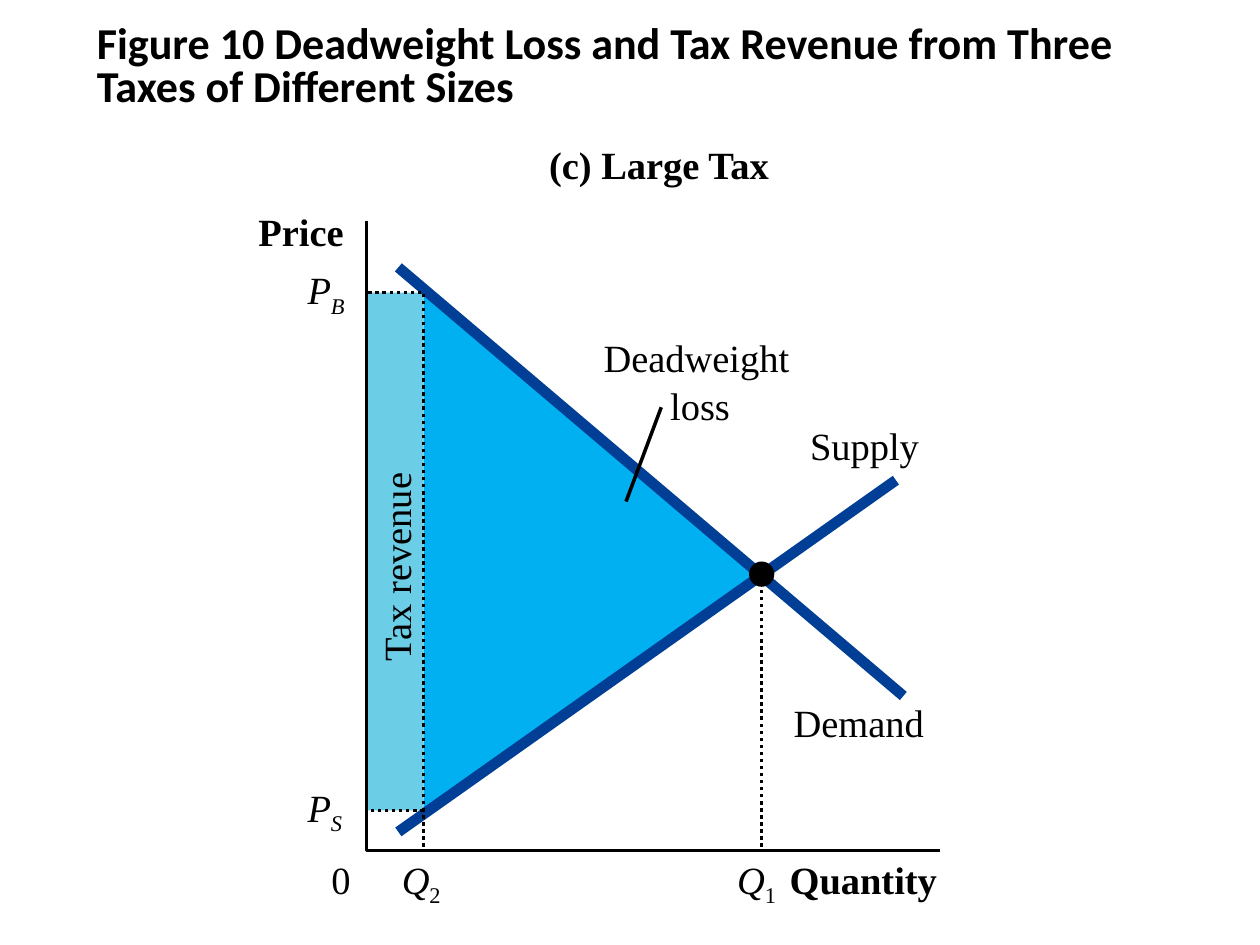
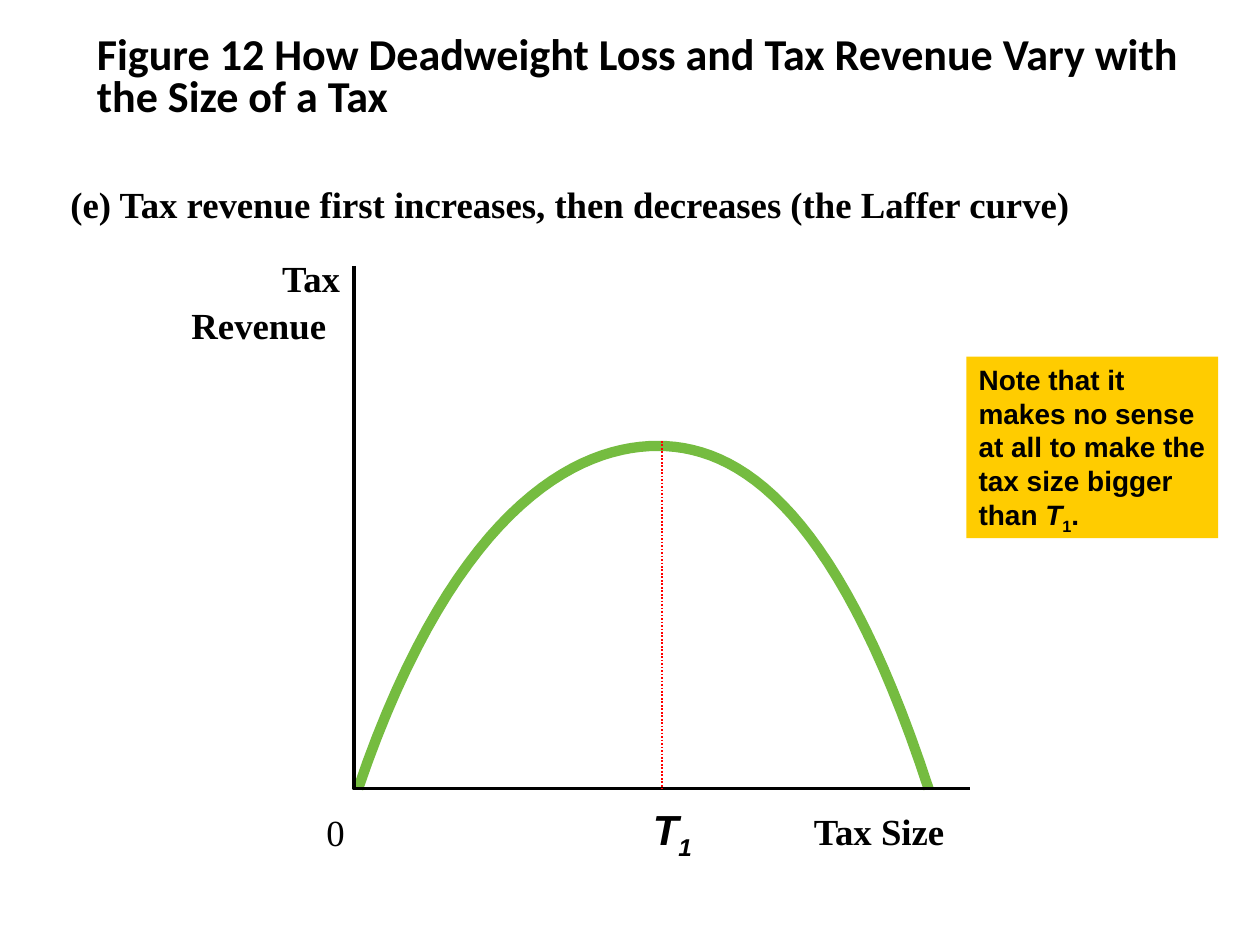
from dataclasses import dataclass
from typing import Any
from lxml.etree import SubElement
from pptx import Presentation
from pptx.dml.color import RGBColor
from pptx.enum.dml import MSO_LINE
from pptx.enum.shapes import MSO_CONNECTOR, MSO_SHAPE
from pptx.enum.text import MSO_ANCHOR, MSO_AUTO_SIZE, PP_ALIGN
from pptx.oxml.ns import qn
from pptx.util import Cm, Pt

HUES = {"ink": "000000", "loss": "00B0F0", "tax": "6CCEE6", "curve": "003F95",
        "arc": "75BC40", "mark": "FF0000", "note": "FFCC00"}
SERIF, SANS, HEAD = "Times New Roman", "Arial", "Calibri"


def hue(name):
    """Return the named colour."""
    return RGBColor.from_string(HUES[name])


def write(para, runs, size, face):
    """Add runs of (text, flags): b bold, i italic, s subscript."""
    for text, flags in runs:
        run = para.add_run()
        run.text = text
        font = run.font
        font.size, font.name = Pt(size), face
        font.bold, font.italic = "b" in flags, "i" in flags
        font.color.rgb = hue("ink")
        if "s" in flags:
            run._r.get_or_add_rPr().set("baseline", "-25000")


def stroke(line, color, width, dots=False):
    """Format a line."""
    line.color.rgb = hue(color)
    line.width = Pt(width)
    if dots:
        line.dash_style = MSO_LINE.ROUND_DOT


@dataclass
class Plot:
    """A graph whose parts sit relative to its top left corner, in cm."""
    slide: Any
    left: float
    top: float
    width: float
    height: float
    size: float

    def spot(self, x, y):
        """Turn a point of the graph into a point of the slide."""
        return Cm(self.left + x), Cm(self.top + y)

    def line(self, start, end, color="ink", width=2, dots=False):
        """Draw a straight line."""
        link = self.slide.shapes.add_connector(
            MSO_CONNECTOR.STRAIGHT, *self.spot(*start), *self.spot(*end))
        stroke(link.line, color, width, dots)
        SubElement(link._element.spPr, qn("a:effectLst"))

    def trace(self, points, color="ink", width=2, dots=False, fill=None):
        """Draw an open outline, or a closed area when a fill is given."""
        first, *rest = [self.spot(*point) for point in points]
        pen = self.slide.shapes.build_freeform(*first)
        pen.add_line_segments(rest, close=bool(fill))
        form = pen.convert_to_shape()
        form.shadow.inherit = False
        if fill:
            form.fill.solid()
            form.fill.fore_color.rgb = hue(fill)
            form.line.fill.background()
        else:
            form.fill.background()
            stroke(form.line, color, width, dots)

    def block(self, kind, x, y, width, height, fill):
        """Draw a filled preset shape without an edge."""
        form = self.slide.shapes.add_shape(
            kind, *self.spot(x, y), Cm(width), Cm(height))
        form.shadow.inherit = False
        form.fill.solid()
        form.fill.fore_color.rgb = hue(fill)
        form.line.fill.background()
        return form

    def label(self, x, y, width, runs, turn=0):
        """Place a one-line label."""
        box = self.slide.shapes.add_textbox(
            *self.spot(x, y), Cm(width), Pt(self.size * 1.2))
        box.rotation = turn
        frame = box.text_frame
        frame.margin_left = frame.margin_right = 0
        frame.margin_top = frame.margin_bottom = 0
        frame.word_wrap = False
        frame.auto_size = MSO_AUTO_SIZE.SHAPE_TO_FIT_TEXT
        write(frame.paragraphs[0], runs, self.size, SERIF)

    def axes(self):
        """Draw both axes."""
        self.trace([(0, 0), (0, self.height), (self.width, self.height)])


def start(deck, text, top):
    """Add a slide with its title."""
    slide = deck.slides.add_slide(deck.slide_layouts[5])
    title = slide.shapes.title
    title.left, title.top = Cm(1.7), Cm(top)
    title.width, title.height = Cm(22.86), Cm(1.9)
    frame = title.text_frame
    frame.word_wrap = True
    frame.auto_size = MSO_AUTO_SIZE.NONE
    frame.vertical_anchor = MSO_ANCHOR.MIDDLE
    para = frame.paragraphs[0]
    para.alignment, para.line_spacing = PP_ALIGN.LEFT, 0.8
    write(para, [(text, "b")], 25.2, HEAD)
    return slide


def market(slide, left, top, width, height):
    """Draw supply, demand and the areas that a large tax creates."""
    plot = Plot(slide, left, top, width, height, 22)
    few, full = 1.15, 7.96
    buy, sell, even = 1.45, 11.89, 7.15
    foot, under = height - 0.08, height + 0.1
    plot.trace([(few, buy), (few, sell), (full, even)], fill="loss")
    plot.block(MSO_SHAPE.RECTANGLE, 0, buy, few, sell - buy, "tax")
    plot.label(-1.57, 6.25, 4.32, [("Tax revenue", "")], turn=270)
    plot.axes()
    plot.line((0.64, 0.94), (10.82, 9.58), "curve", 6.13)
    plot.line((10.67, 5.23), (0.64, 12.32), "curve", 6.13)
    plot.line((full, foot), (full, even), dots=True)
    plot.block(MSO_SHAPE.OVAL, full - 0.25, even - 0.28, 0.51, 0.51, "ink")
    plot.trace([(few, foot), (few, buy), (0, buy)], dots=True)
    plot.line((few, sell), (0, sell), dots=True)
    plot.line((5.94, 3.76), (5.23, 5.66))
    for x, y, wide, text, flags in [
            (3.68, -1.6, 4.85, "(c) Large Tax", "b"),
            (-2.18, -0.25, 1.9, "Price", "b"),
            (8.53, under, 3.15, "Quantity", "b"),
            (-0.71, under, 0.43, "0", ""),
            (8.61, 9.65, 2.95, "Demand", ""),
            (8.94, 4.06, 2.36, "Supply", ""),
            (4.78, 2.29, 4.09, "Deadweight", ""),
            (6.12, 3.25, 1.37, "loss", "")]:
        plot.label(x, y, wide, [(text, flags)])
    for x, y, sign, sub, flags in [
            (-1.19, buy - 0.54, "P", "B", "is"),
            (-1.19, sell - 0.54, "P", "S", "is"),
            (few - 0.44, under, "Q", "2", "s"),
            (full - 0.49, under, "Q", "1", "s")]:
        plot.label(x, y, 0.88, [(sign, "i"), (sub, flags)])


def bend(ends, steps=30):
    """Return points along a cubic curve."""
    def mix(axis, t):
        """Blend one coordinate of the four control points."""
        a, b, c, d = [end[axis] for end in ends]
        u = 1 - t
        return a * u**3 + 3 * b * u * u * t + 3 * c * u * t * t + d * t**3
    return [(mix(0, n / steps), mix(1, n / steps)) for n in range(steps + 1)]


def laffer(slide, left, top, width, height):
    """Draw tax revenue against the size of the tax."""
    plot = Plot(slide, left, top, width, height, 21)
    peak = (6.12, 3.63)
    fall = bend([(11.58, height), (9.78, 5.03), (7.85, 3.63), peak])
    rise = bend([peak, (4.37, 3.63), (1.96, 5.03), (0.08, height)])
    plot.trace(fall + rise[1:], "arc", 5.88)
    plot.axes()
    for x, y, wide, text, flags in [
            (-5.72, -1.7, 22.66,
             "(e) Tax revenue first increases, then decreases (the Laffer curve)", "b"),
            (-1.45, -0.2, 1.27, "Tax", "b"),
            (-3.28, 0.74, 3.07, "Revenue", "b"),
            (-0.56, 10.97, 0.41, "0", ""),
            (9.27, 10.95, 2.97, "Tax Size", "b")]:
        plot.label(x, y, wide, [(text, flags)])
    plot.line((6.2, 3.53), (6.2, height), "mark", 1, dots=True)
    box = slide.shapes.add_textbox(*plot.spot(5.77, 10.72), Cm(1.7), Cm(1.3))
    box.text_frame.word_wrap = True
    write(box.text_frame.paragraphs[0], [("T", "bi"), ("1", "bis")], 24, SANS)
    note = plot.block(MSO_SHAPE.RECTANGLE, 12.34, 1.83, 5.08, 3.66, "note")
    frame = note.text_frame
    frame.word_wrap = True
    frame.vertical_anchor = MSO_ANCHOR.TOP
    para = frame.paragraphs[0]
    para.alignment = PP_ALIGN.LEFT
    write(para, [
        ("Note that it makes no sense at all to make the tax size bigger than ", "b"),
        ("T", "bi"), ("1", "bs"), (".", "b")], 16, SANS)


def main():
    """Build and save both slides."""
    deck = Presentation()
    deck.slide_width, deck.slide_height = Cm(25.4), Cm(19.05)
    slide = start(deck, "Figure 10 Deadweight Loss and Tax Revenue "
                  "from Three Taxes of Different Sizes", 0.43)
    market(slide, 7.39, 4.45, 11.56, 12.7)
    slide = start(deck, "Figure 12 How Deadweight Loss and Tax Revenue "
                  "Vary with the Size of a Tax", 0.64)
    laffer(slide, 7.14, 5.36, 12.42, 10.54)
    deck.save("out.pptx")


if __name__ == "__main__":
    main()
